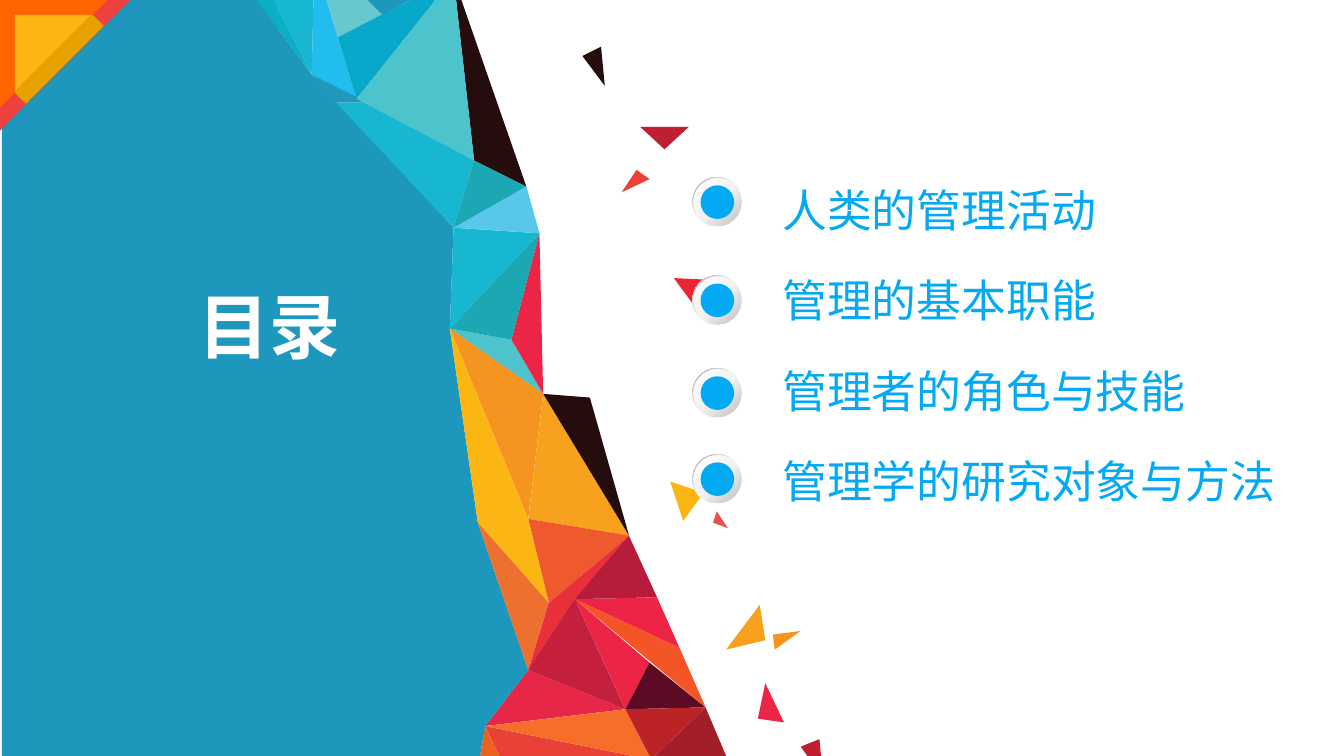
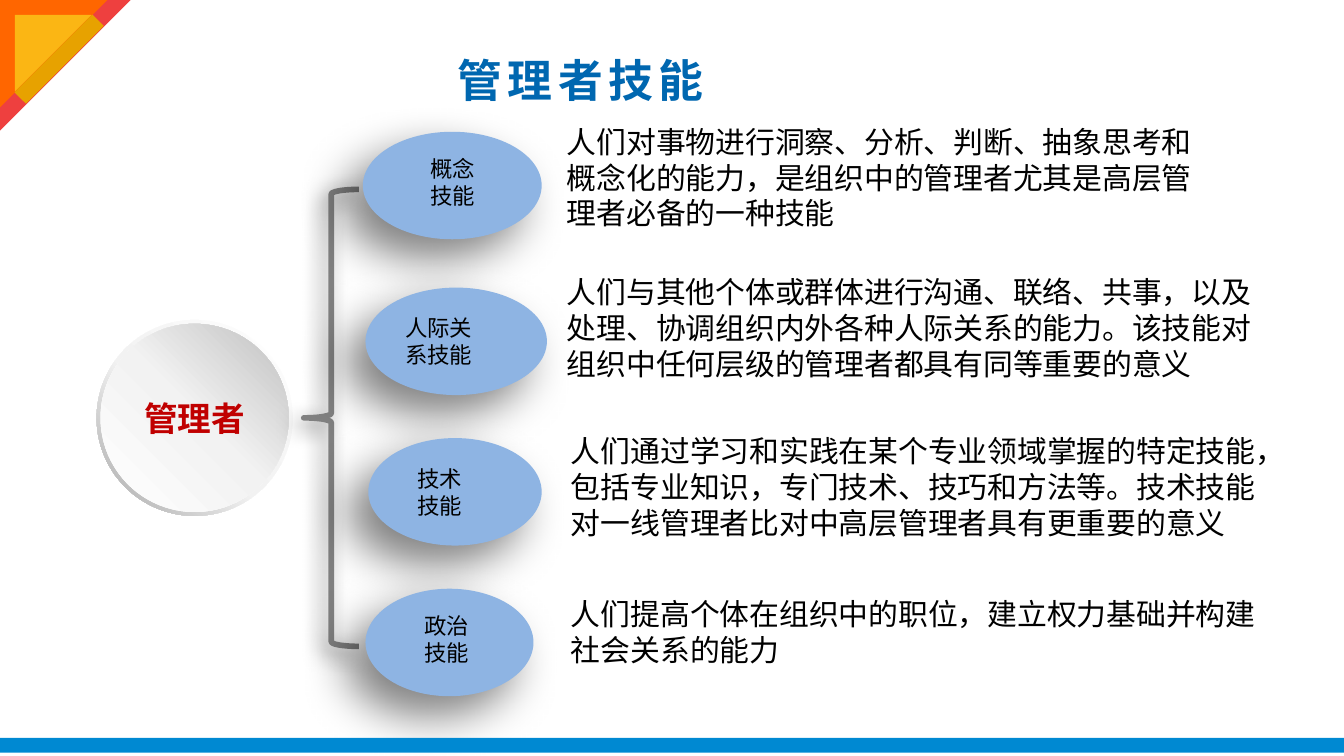
from lxml.etree import SubElement
from pptx import Presentation
from pptx.dml.color import RGBColor
from pptx.enum.shapes import MSO_SHAPE as SHAPE
from pptx.enum.text import MSO_ANCHOR as ANCHOR, MSO_AUTO_SIZE as AUTO, PP_ALIGN as ALIGN
from pptx.oxml.ns import qn
from pptx.util import Pt

ARIAL = "Arial"
NOTO = "Noto Sans CJK SC"
TITLE_ONLY = 5

rgb = RGBColor.from_string
WHITE = rgb("FFFFFF")
BLACK = rgb("000000")
PALE = rgb("F2F2F2")
SILVER = rgb("BFBFBF")
STEEL = rgb("A6A6A6")
GREY = rgb("808080")
SKY = rgb("03A9F3")
TITLE_BLUE = rgb("0067B0")
BAR_BLUE = rgb("0089D2")
SOFT_BLUE = rgb("8EB4E3")
DARK_RED = rgb("C00000")
CORNER_RED = rgb("EE403F")
CORNER_ORANGE = rgb("FF6600")
CORNER_GOLD = rgb("E7A200")
SEA = rgb("1D97BC")
SEA_LIGHT = rgb("2198BC")
CYAN = rgb("17B7D1")
CYAN_DEEP = rgb("08A8CA")
CYAN_DARK = rgb("0AAEC5")
AZURE = rgb("21BDEE")
ICE = rgb("57C8EA")
MINT = rgb("4DC4CC")
MIST = rgb("69C7CF")
TEAL = rgb("1BA8B2")
YELLOW = rgb("FBB614")
AMBER = rgb("F8A11E")
APRICOT = rgb("F59421")
COPPER = rgb("ED702E")
TANGERINE = rgb("F66E29")
ORANGE = rgb("F45526")
RUST = rgb("EB6323")
CORAL = rgb("EE592E")
SALMON = rgb("EA5248")
TOMATO = rgb("E94138")
VERMILION = rgb("EE4037")
SCARLET = rgb("EB2534")
RED = rgb("E73039")
ROSE = rgb("E72748")
CRIMSON = rgb("EC2546")
RUBY = rgb("C41F3D")
CARMINE = rgb("BE1F31")
BERRY = rgb("B71C3C")
BRICK = rgb("BC2326")
GARNET = rgb("A21F29")
WINE = rgb("5D0B24")
SOOT = rgb("260D0D")

MESH = dict(
    a=(136, -2), b=(146, -1), c=(168, -3), d=(167, 40), e=(181, 20), f=(191, 53),
    g=(180, 55), h=(197, 55), i=(205, 8), j=(243, -12), k=(254, 86), l=(282, 100),
    m=(243, 122), n=(289, 125), o=(241, 176), p=(274, 182), q=(291, 211), r=(256, 280),
    s=(283, 278), t=(294, 323), u=(337, 287), v=(316, 213), w=(283, 359), x=(308, 321),
    y=(352, 320), z=(335, 380), A=(364, 347), B=(378, 379), C=(348, 355), D=(260, 389),
    E=(349, 407), F=(257, 406), G=(190, -7), H=(389, 405), I=(225, -3), J=(268, 406),
    K=(174, -3), L=(140, 407),
)

FACETS = (
    (CRIMSON, "xzC"), (WINE, "zBC"), (SOOT, "jlk"), (GARNET, "BHE"), (CRIMSON, "xAy"),
    (TOMATO, "DJE"), (ROSE, "wDz"), (MINT, "opq"), (CYAN, "mno"), (ICE, "mln"),
    (RUST, "DFJ"), (AZURE, "cKfd"), (SEA, "admorwDFL"), (CYAN_DARK, "abd"), (CYAN, "bcd"),
    (SEA_LIGHT, "dhg"), (CYAN, "hkmg"), (TEAL, "klm"), (MIST, "KGie"), (CYAN_DEEP, "efj"),
    (CRIMSON, "npq"), (MINT, "jkf"), (TEAL, "npo"), (APRICOT, "oqs"), (YELLOW, "orts"),
    (AMBER, "qsu"), (SOOT, "qvu"), (CORAL, "stu"), (COPPER, "rtw"), (RED, "tuw"),
    (BERRY, "xyu"), (RUBY, "xzw"), (ORANGE, "xBA"), (TANGERINE, "DzE"), (BRICK, "zBE"),
    (SEA, "GiI"),
)

SHARDS = (
    (VERMILION, (341, 91), (333, 103), (348, 96)),
    (SCARLET, (361, 149), (382, 150), (378, 172)),
    (CARMINE, (343, 68), (369, 68), (356, 80)),
    (YELLOW, (359, 258), (377, 264), (366, 279)),
    (AMBER, (407, 324), (389, 348), (410, 343)),
    (CRIMSON, (410, 366), (406, 385), (420, 387)),
    (APRICOT, (414, 340), (429, 338), (415, 348)),
    (SALMON, (384, 274), (390, 283), (382, 280)),
    (SOOT, (322, 25), (312, 30), (324, 46)),
    (CARMINE, (439, 396), (429, 400), (441, 417)),
)

CONTENTS = (
    ("人类的管理活动", 95),
    ("管理的基本职能", 147.6),
    ("管理者的角色与技能", 197.3),
    ("管理学的研究对象与方法", 243.4),
)

OVAL_HEIGHT = 57.6
SKILLS = (
    dict(oval=(194.4, 70.6, 95.8), label="概念\n技能", label_span=(195.8, 93.6),
         body="人们对事物进行洞察、分析、判断、抽象思考和概念化的能力，是组织中的管理者尤其是高层管理者必备的一种技能",
         body_at=(296.6, 62.6, 362.2)),
    dict(oval=(195.8, 154.1, 97.2), label="人际关\n系技能",
         body="人们与其他个体或群体进行沟通、联络、共事，以及处理、协调组织内外各种人际关系的能力。该技能对组织中任何层级的管理者都具有同等重要的意义",
         body_at=(296.6, 143.3, 383.8)),
    dict(oval=(197.3, 234.7, 92.9), label="技术\n技能", inset=12.6,
         body="人们通过学习和实践在某个专业领域掌握的特定技能，包括专业知识，专门技术、技巧和方法等。技术技能对一线管理者比对中高层管理者具有更重要的意义",
         body_at=(298.8, 228.2, 389.5)),
    dict(oval=(195.8, 315.4, 90), label="政治\n技能", label_span=(207.6, 63.4),
         body="人们提高个体在组织中的职位，建立权力基础并构建社会关系的能力",
         body_at=(298.8, 315.4, 396.7)),
)


def write(sp, text, size=16, color=BLACK, font=NOTO, bold=False, align=ALIGN.LEFT,
          anchor=ANCHOR.TOP, wrap=True, inset=7.2, tracking=0):
    tf = sp.text_frame
    tf.auto_size = AUTO.NONE
    tf.word_wrap = wrap
    tf.vertical_anchor = anchor
    tf.margin_left = Pt(inset)
    for i, line in enumerate(text.split("\n")):
        p = tf.add_paragraph() if i else tf.paragraphs[0]
        p.alignment = align
        p.line_spacing = Pt(round(size * 1.2, 1))
        r = p.add_run()
        r.text = line
        r.font.size = Pt(size)
        r.font.bold = bold
        r.font.color.rgb = color
        r.font.name = font
        rpr = r.font._element
        SubElement(rpr, qn("a:ea")).set("typeface", NOTO)
        if tracking:
            rpr.set("spc", str(tracking * 100))


def add_text(s, box, text, **fmt):
    write(s.shapes.add_textbox(*map(Pt, box)), text, **fmt)


def add_title(s, box, text, **fmt):
    sp = s.shapes.title
    sp.left, sp.top, sp.width, sp.height = map(Pt, box)
    write(sp, text, font=ARIAL, bold=True, align=ALIGN.CENTER, **fmt)
    s.shapes._spTree.append(sp._element)


def paint(sp, color=None):
    sp.shadow.inherit = False
    sp.line.fill.background()
    if color is None:
        sp.fill.background()
    else:
        sp.fill.solid()
        sp.fill.fore_color.rgb = color


def add_plain(s, kind, box, color=None, rotation=0):
    sp = s.shapes.add_shape(kind, *map(Pt, box))
    sp.rotation = rotation
    paint(sp, color)
    return sp


def add_polygon(s, color, points):
    builder = s.shapes.build_freeform(*points[0], scale=Pt(1))
    builder.add_line_segments(points[1:])
    paint(builder.convert_to_shape(), color)


def add_shadow(sp, blur, distance):
    effects = sp._element.spPr.find(qn("a:effectLst"))
    outer = SubElement(effects, qn("a:outerShdw"), blurRad=str(Pt(blur)),
                       dist=str(Pt(distance)), dir="8100000", algn="tl", rotWithShape="0")
    color = SubElement(outer, qn("a:srgbClr"), val=str(BLACK))
    SubElement(color, qn("a:alpha"), val="50000")


def shade(sp, angle, *stops):
    sp.fill.gradient()
    sp.fill.gradient_angle = angle
    gs_list = sp._element.spPr.find(qn("a:gradFill")).find(qn("a:gsLst"))
    for gs in list(gs_list):
        gs_list.remove(gs)
    for position, color in stops:
        gs = SubElement(gs_list, qn("a:gs"), pos=str(position * 1000))
        SubElement(gs, qn("a:srgbClr"), val=str(color))


def add_button(s, x, y, d, flip=False):
    edge = d * 0.02
    ring = add_plain(s, SHAPE.DONUT, (x, y, d, d))
    ring.adjustments[0] = 0.05
    shade(ring, 225, (0, WHITE), (55, PALE), (100, STEEL))
    disc = add_plain(s, SHAPE.OVAL, (x + edge, y + edge, d - 2 * edge, d - 2 * edge))
    shade(disc, 45, (0, WHITE), (51, PALE), (100, SILVER))
    if flip:
        for sp in (ring, disc):
            sp._element.spPr.find(qn("a:xfrm")).set("flipV", "1")
    return disc


def add_corner(s):
    for inset, side, color in ((0, 70, CORNER_RED), (0, 57.6, CORNER_ORANGE), (8, 41, YELLOW)):
        add_plain(s, SHAPE.RIGHT_TRIANGLE, (inset, inset, side, side), color, 90)
    add_plain(s, SHAPE.RECTANGLE, (27.4, 2.2, 8.6, 59), CORNER_GOLD, 45)


def add_mosaic(s):
    add_plain(s, SHAPE.RECTANGLE, (1, -1, 148, 406), SEA)
    for color, corners in FACETS:
        add_polygon(s, color, [MESH[corner] for corner in corners])
    for color, *points in SHARDS:
        add_polygon(s, color, points)


def add_entry(s, text, x, button_top, text_top):
    add_button(s, x, button_top, 26.6, flip=True)
    add_plain(s, SHAPE.OVAL, (x + 4.3, button_top + 4.3, 18, 18), SKY)
    add_text(s, (x + 41, text_top, 284, 36), text, size=24, color=SKY, font=ARIAL)


def add_skill(s, oval, label, body, body_at, label_span=None, inset=7.2):
    sp = add_plain(s, SHAPE.OVAL, (*oval, OVAL_HEIGHT), SOFT_BLUE)
    add_shadow(sp, 25, 15)
    if label_span:
        x, w = label_span
        add_text(s, (x, oval[1] + 9, w, 36), label, size=12, align=ALIGN.CENTER)
    else:
        write(sp, label, size=12, anchor=ANCHOR.MIDDLE, inset=inset)
    add_text(s, (*body_at, 65.5), body)


def add_brace(s, box):
    sp = add_plain(s, SHAPE.LEFT_BRACE, box)
    sp.line.color.rgb = GREY
    sp.line.width = Pt(3)
    add_shadow(sp, 11, 5)


def contents_slide(prs):
    s = prs.slides.add_slide(prs.slide_layouts[TITLE_ONLY])
    add_mosaic(s)
    add_corner(s)
    for i, (text, button_top) in enumerate(CONTENTS):
        add_entry(s, text, 371, button_top, 94.3 + 48.4 * i)
    add_title(s, (98.6, 147.6, 91.4, 53.3), "目录", size=38, color=WHITE, wrap=False)


def skills_slide(prs):
    s = prs.slides.add_slide(prs.slide_layouts[TITLE_ONLY])
    disc = add_button(s, 51.8, 171.4, 105)
    write(disc, "管理者", size=18, color=DARK_RED, font=ARIAL, bold=True,
          align=ALIGN.CENTER, anchor=ANCHOR.MIDDLE)
    add_brace(s, (162.7, 101.5, 29.5, 244.8))
    for skill in SKILLS:
        add_skill(s, **skill)
    add_plain(s, SHAPE.RECTANGLE, (0, 395.3, 720, 8), BAR_BLUE)
    add_corner(s)
    add_title(s, (36, 16.6, 550, 51.8), "管理者技能", size=24, color=TITLE_BLUE,
              anchor=ANCHOR.MIDDLE, tracking=3)


def main():
    prs = Presentation()
    prs.slide_width, prs.slide_height = Pt(720), Pt(405)
    contents_slide(prs)
    skills_slide(prs)
    prs.save("out.pptx")


if __name__ == "__main__":
    main()
